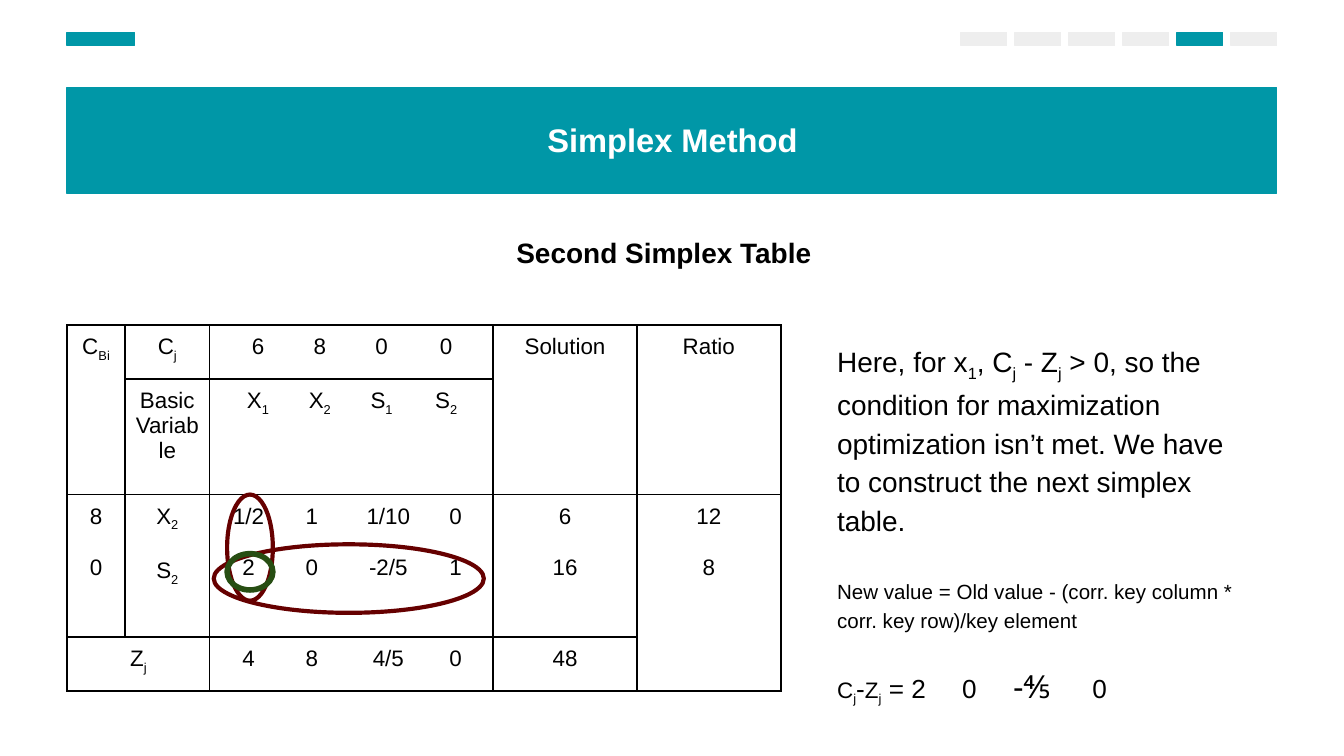
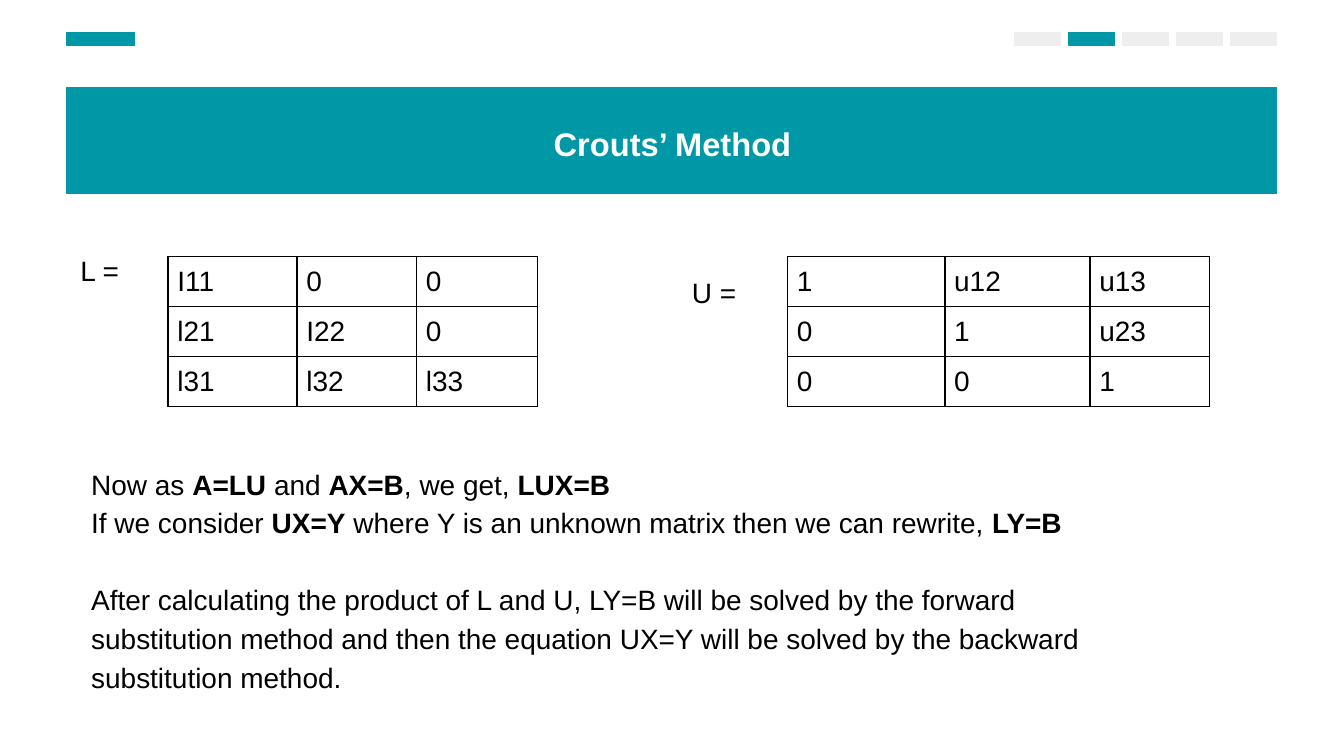
from lxml import etree
from pptx import Presentation
from pptx import util as u
from pptx.dml.color import RGBColor
from pptx.enum import shapes, text
from pptx.oxml import ns

Inches, Pt = u.Inches, u.Pt
FONT = "Arial"
TEAL, GREY, BLACK, WHITE = "0097A7", "EEEEEE", "000000", "FFFFFF"
DARK_RED, DARK_GREEN = "660000", "274E13"
BODY_SIZE = 15
BODY_SPACING = 1.15
BLANK_LINE = 20.7  # gap in points, one body line high
PAGE_STEP = (9.16 - 7.15) / 5
CENTER = text.PP_ALIGN.CENTER
LEFT = text.PP_ALIGN.LEFT


def color(hex_string):
    return RGBColor.from_string(hex_string)


def inches(*lengths):
    return [Inches(length) for length in lengths]


# Text

def write_runs(paragraph, marked, size, hex_color=BLACK, bold=False):
    """Append runs; ~bold~ and _subscript_ switch within the text."""
    for i, part in enumerate(marked.split("~")):
        for j, piece in enumerate(part.split("_")):
            if not piece:
                continue
            run = paragraph.add_run()
            run.text = piece
            run.font.name = FONT
            run.font.size = Pt(size)
            run.font.bold = bold or i % 2 == 1
            run.font.color.rgb = color(hex_color)
            if j % 2:
                run._r.get_or_add_rPr().set("baseline", "-25000")


def set_tabs(paragraph, stops, align):
    tab_list = etree.SubElement(paragraph._p.get_or_add_pPr(), ns.qn("a:tabLst"))
    for stop in stops:
        etree.SubElement(tab_list, ns.qn("a:tab"),
                         pos=str(Inches(stop)), algn=align)


def next_paragraph(text_frame, space_before=0, spacing=None, align=LEFT):
    first = text_frame.paragraphs[0]
    paragraph = text_frame.add_paragraph() if first.runs else first
    paragraph.alignment = align
    paragraph.space_before = Pt(space_before)
    if spacing:
        paragraph.line_spacing = spacing
    return paragraph


def prepare_frame(text_frame, anchor=text.MSO_ANCHOR.TOP):
    text_frame.word_wrap = True
    text_frame.auto_size = text.MSO_AUTO_SIZE.NONE
    text_frame.vertical_anchor = anchor
    text_frame.margin_left = text_frame.margin_right = Inches(0.1)
    text_frame.margin_top = text_frame.margin_bottom = Inches(0.1)


def add_text(slide, box, paragraphs, anchor=text.MSO_ANCHOR.TOP,
             align=LEFT, bold=False):
    """paragraphs: (text, size, space before) for each."""
    text_frame = slide.shapes.add_textbox(*inches(*box)).text_frame
    prepare_frame(text_frame, anchor)
    for marked, size, gap in paragraphs:
        paragraph = next_paragraph(text_frame, gap, BODY_SPACING, align)
        write_runs(paragraph, marked, size, bold=bold)
    return text_frame


# Shapes and tables

def add_bar(slide, box, hex_color):
    bar = slide.shapes.add_shape(shapes.MSO_SHAPE.RECTANGLE, *inches(*box))
    bar.shadow.inherit = False
    bar.fill.solid()
    bar.fill.fore_color.rgb = color(hex_color)
    bar.line.color.rgb = color(hex_color)
    bar.line.width = Pt(0.75)


def add_ring(slide, box, hex_color, width):
    ring = slide.shapes.add_shape(shapes.MSO_SHAPE.OVAL, *inches(*box))
    ring.shadow.inherit = False
    ring.fill.background()
    ring.line.color.rgb = color(hex_color)
    ring.line.width = Pt(width)


def set_borders(cell):
    properties = cell._tc.get_or_add_tcPr()
    for i, side in enumerate(("lnL", "lnR", "lnT", "lnB")):
        line = etree.Element(ns.qn("a:" + side), w=str(Pt(1)))
        fill = etree.SubElement(line, ns.qn("a:solidFill"))
        etree.SubElement(fill, ns.qn("a:srgbClr"), val=BLACK)
        properties.insert(i, line)


def add_grid(slide, left, top, widths, heights):
    """Add a plain table with black borders and no fill."""
    frame = slide.shapes.add_table(len(heights), len(widths), *inches(
        left, top, sum(widths), sum(heights)))
    table = frame.table
    table.first_row = table.horz_banding = False
    for column, width in zip(table.columns, widths):
        column.width = Inches(width)
    for row, height in zip(table.rows, heights):
        row.height = Inches(height)
    for cell in table.iter_cells():
        cell.fill.background()
        cell.margin_left = cell.margin_right = Inches(0.07)
        cell.margin_top = cell.margin_bottom = Inches(0.07)
        set_borders(cell)
    return table


# Parts shared by the slides

def add_header(slide, title, pages, current, spacing):
    add_bar(slide, (0.5, 0.65, 9, 0.79), TEAL)
    add_bar(slide, (0.5, 0.24, 0.5, 0.1), TEAL)
    for page in range(pages):
        left = 9.16 - PAGE_STEP * (pages - 1 - page)
        add_bar(slide, (left, 0.24, 0.34, 0.1),
                TEAL if page == current else GREY)

    placeholder = slide.shapes.title
    placeholder.left, placeholder.top, placeholder.width, placeholder.height = (
        inches(1.01, 0.78, 7.99, 0.71))
    prepare_frame(placeholder.text_frame)
    paragraph = next_paragraph(placeholder.text_frame, 0, spacing, CENTER)
    write_runs(paragraph, title, 17.5, WHITE, bold=True)
    # Bring the title in front of the band
    slide.shapes.element.append(placeholder.element)


# Simplex slide

def add_simplex_table(slide, left, top):
    table = add_grid(slide, left, top, (0.43, 0.63, 2.11, 1.07, 1.07),
                     (0.4, 0.86, 1.06, 0.4))
    merges = [((0, 0), (1, 0)), ((0, 3), (1, 3)), ((0, 4), (1, 4)),
              ((2, 4), (3, 4)), ((3, 0), (3, 1))]
    for start, end in merges:
        table.cell(*start).merge(table.cell(*end))

    header_stops = (0.29, 0.75, 1.21, 1.69)
    value_stops = (0.22, 0.69, 1.26, 1.76)
    rows = [
        (["C_Bi_"], ["C_j_"], ["\t6\t8\t0\t0"], ["Solution"], ["Ratio"]),
        ([], ["Basic Variable"], ["\tX_1_\tX_2_\tS_1_\tS_2_"], [], []),
        (["8", "0"], ["X_2_", "S_2_"], ["\t1/2\t1\t1/10\t0", "\t2\t0\t-2/5\t1"],
         ["6", "16"], ["12", "8"]),
        (["Z_j_"], [], ["\t4\t8\t4/5\t0"], ["48"], []),
    ]
    for r, row in enumerate(rows):
        for c, lines in enumerate(row):
            for i, line in enumerate(lines):
                tabbed = "\t" in line
                paragraph = next_paragraph(
                    table.cell(r, c).text_frame, 13.8 if i else 0,
                    align=LEFT if tabbed else CENTER)
                if tabbed:
                    stops = header_stops if r < 2 else value_stops
                    set_tabs(paragraph, stops, "ctr")
                write_runs(paragraph, line, 12)

    # Key column, key row and key element
    add_ring(slide, (left + 1.19, top + 1.26, 0.34, 0.79), DARK_RED, 2.25)
    add_ring(slide, (left + 1.09, top + 1.63, 2.01, 0.51), DARK_RED, 2.25)
    add_ring(slide, (left + 1.19, top + 1.7, 0.34, 0.27), DARK_GREEN, 3)


def add_simplex_notes(slide, box):
    text_frame = add_text(slide, box, [
        ("Here, for x_1_, C_j_ - Z_j_ > 0, so the condition for maximization "
         "optimization isn’t met. We have to construct the next simplex table.",
         BODY_SIZE, 0),
        ("New value = Old value - (corr. key column * corr. key row)/key element",
         11, BLANK_LINE),
    ])
    differences = next_paragraph(text_frame, 15, BODY_SPACING)
    set_tabs(differences, (0.93, 1.31, 1.9), "l")
    for marked, size in [("C_j_", 12), ("-", 14), ("Z_j_", 12),
                         (" = 2\t0\t", 14), ("-⅘", 17), ("\t0", 14)]:
        write_runs(differences, marked, size)


def build_simplex_slide(slide):
    add_header(slide, "Simplex Method", pages=6, current=4, spacing=1.05)
    add_text(slide, (3.3, 1.6, 3.28, 0.51),
             [("Second Simplex Table", BODY_SIZE, 0)],
             text.MSO_ANCHOR.MIDDLE, CENTER, bold=True)
    add_simplex_notes(slide, (6.13, 2.42, 3.28, 3.16))
    add_simplex_table(slide, 0.5, 2.42)


# Crouts' slide

def add_matrix(slide, left, top, widths, rows):
    table = add_grid(slide, left, top, widths, [0.37] * len(rows))
    for r, row in enumerate(rows):
        for c, entry in enumerate(row.split()):
            paragraph = next_paragraph(table.cell(r, c).text_frame)
            write_runs(paragraph, entry, BODY_SIZE)


def build_crouts_slide(slide):
    add_header(slide, "Crouts’ Method", pages=5, current=1, spacing=1.15)
    add_matrix(slide, 1.25, 1.91, (0.96, 0.89, 0.9),
               ("I11 0 0", "l21 I22 0", "l31 l32 l33"))
    add_matrix(slide, 5.86, 1.91, (1.17, 1.08, 0.89),
               ("1 u12 u13", "0 1 u23", "0 0 1"))
    add_text(slide, (0.58, 2.96, 8.18, 2.68), [
        ("Now as ~A=LU~ and ~AX=B~, we get, ~LUX=B~", BODY_SIZE, 0),
        ("If we consider ~UX=Y~ where Y is an unknown matrix then we can "
         "rewrite, ~LY=B~", BODY_SIZE, 0),
        ("After calculating the product of L and U, LY=B will be solved by the "
         "forward substitution method and then the equation UX=Y will be solved "
         "by the backward substitution method.", BODY_SIZE, BLANK_LINE),
    ], text.MSO_ANCHOR.MIDDLE)
    for label, left, top in (("L =", 0.5, 1.75), ("U =", 5.05, 1.91)):
        add_text(slide, (left, top, 0.75, 0.45), [(label, BODY_SIZE, 0)])


def main():
    presentation = Presentation()
    # Widescreen, 16 to 9
    presentation.slide_width = Inches(10)
    presentation.slide_height = Inches(10 * 9 / 16)
    title_only = presentation.slide_layouts[5]
    for build in (build_simplex_slide, build_crouts_slide):
        build(presentation.slides.add_slide(title_only))
    presentation.save("out.pptx")


if __name__ == "__main__":
    main()
